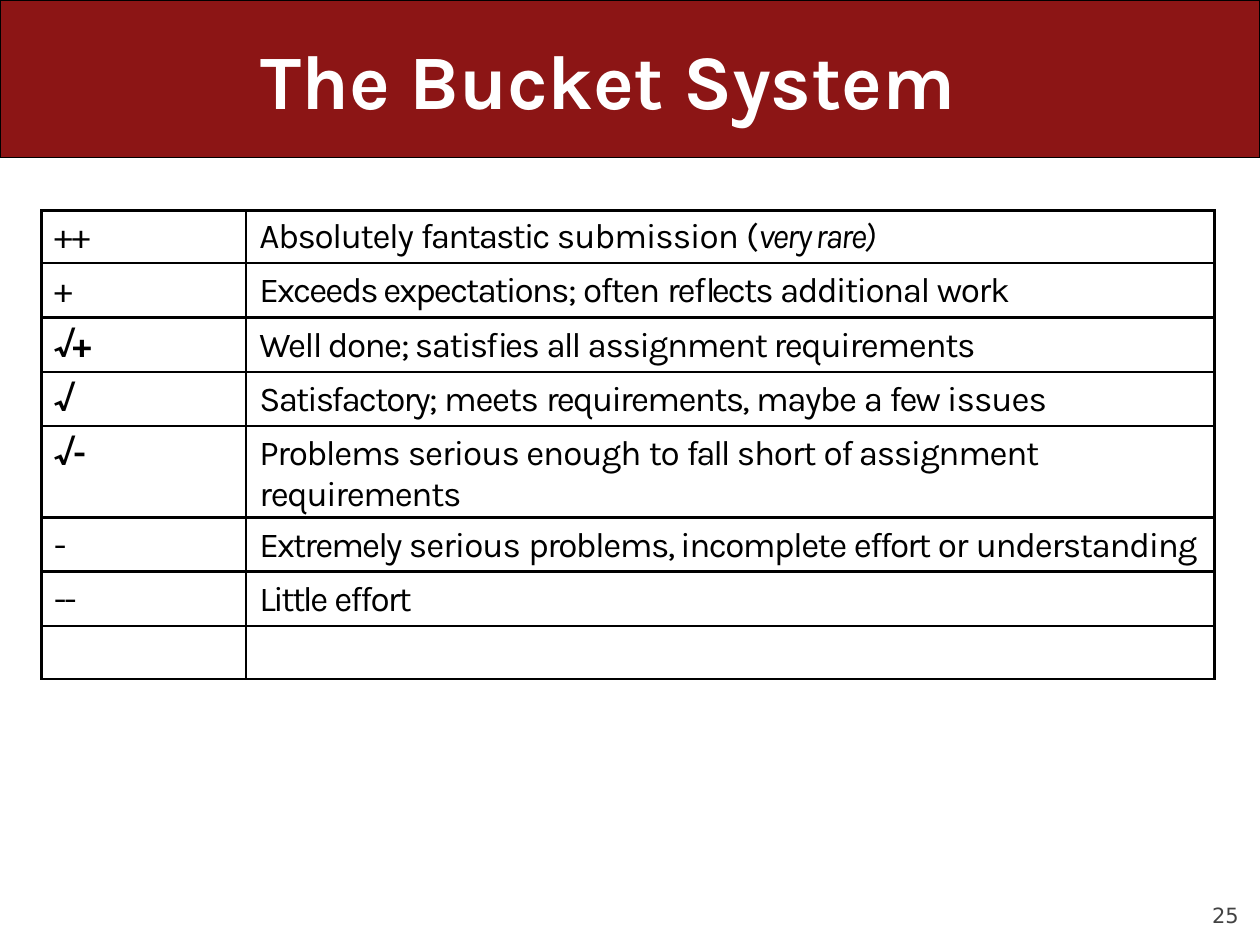
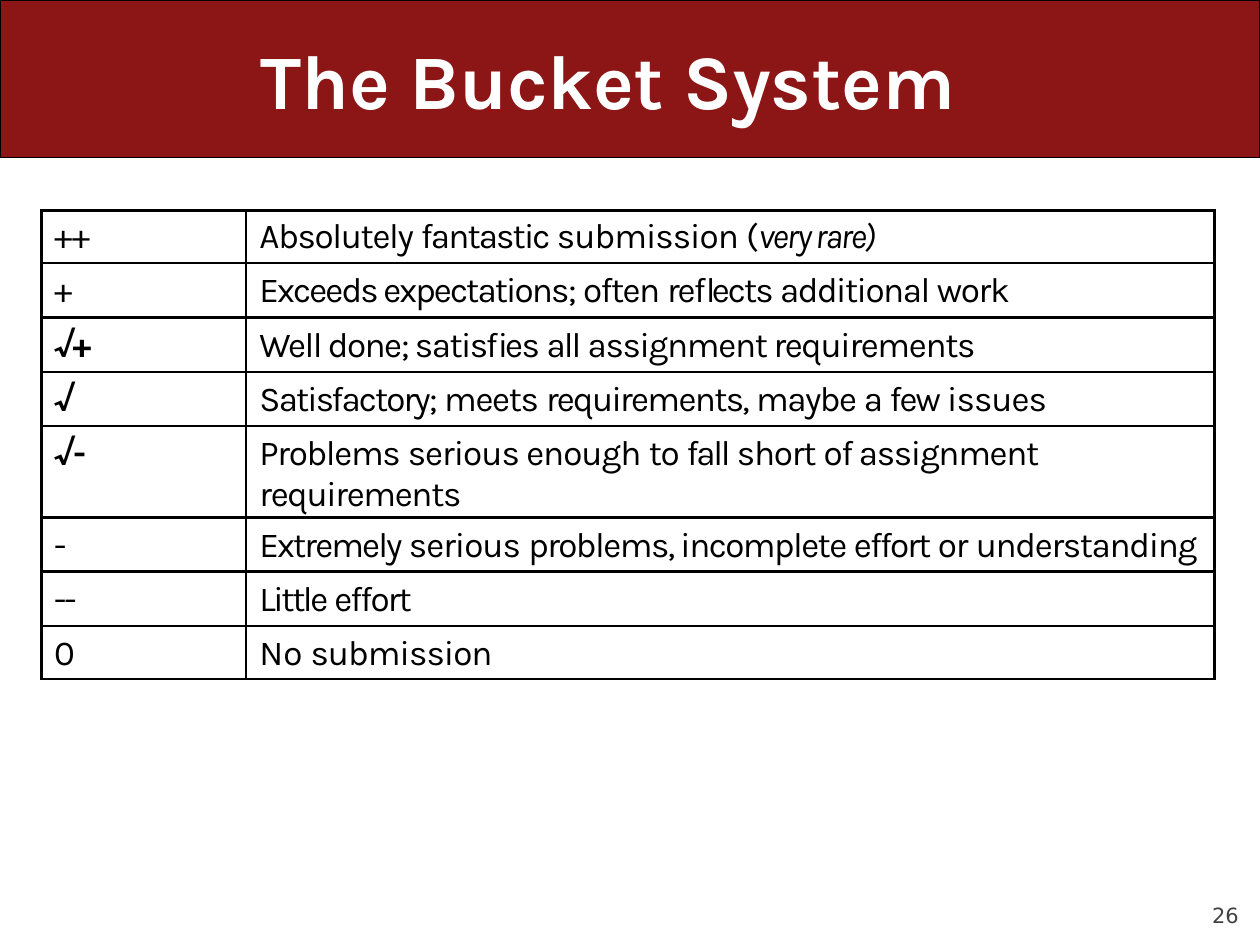
import pptx
import pptx.dml.color
import pptx.enum.shapes
import pptx.oxml
import pptx.oxml.ns
import pptx.util
from pptx.util import Inches

CARDINAL, WHITE, BLACK, GREY = "8C1515", "FFFFFF", "000000", "424242"
TEXT_FONT, NUMBER_FONT = "Karla", "DejaVu Sans"
BLANK_LAYOUT = 6

COLUMN_WIDTHS = [1.62, 7.69]
CELL_INDENTS = [0.1, 0.11]
ROW_HEIGHT = 0.43
END_ROW_HEIGHT = 0.42

# Each grade is a mark and a description, in (text, letter spacing in points) pieces.
GRADES = [
    [[("++", -0.4)],
     [("Absolutely ", -0.8), ("fantastic ", -1.1), ("submission ", -0.6),
      ("(", -1.2), ("very rare)", -1.2)]],
    [[("+", 0)],
     [("Exceeds expectations; ", -1.1), ("often ", -0.9), ("reflects ", -1.1),
      ("additional ", -0.9), ("work", -0.8)]],
    [[("√+", -1.8)],
     [("Well done; satisfies ", -0.9), ("all ", -1.2),
      ("assignment requirements", -0.8)]],
    [[("√", 0)],
     [("Satisfactory; ", -1.1), ("meets ", -0.8), ("requirements, ", -1),
      ("maybe ", -0.9), ("a ", -1), ("few ", -1.2), ("issues", -0.6)]],
    [[("√-", -1.5)],
     [("Problems ", -0.8), ("serious enough ", -0.6), ("to ", -0.8),
      ("fall ", -1.3), ("short ", -0.7), ("of assignment requirements", -0.8)]],
    [[("-", 0)],
     [("Extremely ", -1.1), ("serious ", -0.6), ("problems, incomplete ", -0.9),
      ("effort ", -1.1), ("or ", -0.6), ("understanding", -0.8)]],
    [[("--", -1.2)],
     [("Little ", -1.4), ("effort", -1.1)]],
]
NOT_REVEALED = [[], []]
NO_SUBMISSION = [[("0", 0)], [("No ", -0.1), ("submission", -0.6)]]
ITALIC_PIECES = {"very rare)"}


def rgb(hex_color):
    return pptx.dml.color.RGBColor.from_string(hex_color)


def write_pieces(paragraph, pieces, size, color, font=TEXT_FONT, bold=False):
    paragraph.font.name = font
    paragraph.font.size = pptx.util.Pt(size)
    paragraph.font.color.rgb = rgb(color)
    paragraph.font.bold = bold
    for text, spacing in pieces:
        run = paragraph.add_run()
        run.text = text
        if spacing:
            run._r.get_or_add_rPr().set("spc", str(round(spacing * 100)))
        if text in ITALIC_PIECES:
            run.font.italic = True


def set_margins(holder, left, top):
    holder.margin_left, holder.margin_top = Inches(left), Inches(top)
    holder.margin_right = holder.margin_bottom = 0


def add_band(slide):
    band = slide.shapes.add_shape(
        pptx.enum.shapes.MSO_SHAPE.RECTANGLE, 0, 0, Inches(10), Inches(1.25))
    band.shadow.inherit = False
    band.fill.solid()
    band.fill.fore_color.rgb = rgb(CARDINAL)
    band.line.color.rgb = rgb(BLACK)
    band.line.width = pptx.util.Pt(0.75)


def add_label(slide, box, margins, pieces, size, color, **style):
    frame = slide.shapes.add_textbox(*map(Inches, box)).text_frame
    frame.word_wrap = True
    set_margins(frame, *margins)
    write_pieces(frame.paragraphs[0], pieces, size, color, **style)


def add_borders(cell, width=1.5):
    """Rule all four sides; border elements must precede the fill."""
    properties = cell._tc.get_or_add_tcPr()
    for position, side in enumerate("LRTB"):
        properties.insert(position, pptx.oxml.parse_xml(
            f'<a:ln{side} {pptx.oxml.ns.nsdecls("a")} w="{pptx.util.Pt(width)}">'
            f'<a:solidFill><a:srgbClr val="{BLACK}"/></a:solidFill></a:ln{side}>'))


def add_grade_table(slide, grades):
    last = len(grades) - 1
    heights = [END_ROW_HEIGHT if i in (0, last) else ROW_HEIGHT
               for i in range(len(grades))]
    table = slide.shapes.add_table(
        len(grades), len(COLUMN_WIDTHS), Inches(0.33), Inches(1.67),
        Inches(sum(COLUMN_WIDTHS)), Inches(sum(heights))).table
    table.first_row = table.horz_banding = False
    for column, width in zip(table.columns, COLUMN_WIDTHS):
        column.width = Inches(width)
    for i, (row, grade) in enumerate(zip(table.rows, grades)):
        row.height = Inches(heights[i])
        for cell, pieces, indent in zip(row.cells, grade, CELL_INDENTS):
            cell.fill.background()
            add_borders(cell)
            set_margins(cell, indent, 0.06 if i else 0.05)
            is_check_mark = any("√" in text for text, _ in pieces)
            write_pieces(cell.text_frame.paragraphs[0], pieces, 20, BLACK,
                         bold=is_check_mark)


def add_bucket_slide(deck, number, last_grade):
    slide = deck.slides.add_slide(deck.slide_layouts[BLANK_LAYOUT])
    add_band(slide)
    add_label(slide, (2.06, 0.24, 5.88, 0.76), (0.01, 0.02),
              [("The Bucket System", -0.1)], 44, WHITE, bold=True)
    add_label(slide, (9.59, 7.13, 0.27, 0.23), (0.03, 0.03),
              [(str(number), 0)], 12, GREY, font=NUMBER_FONT)
    add_grade_table(slide, GRADES + [last_grade])


def main():
    deck = pptx.Presentation()
    deck.slide_width, deck.slide_height = Inches(10), Inches(7.5)
    for number, last_grade in enumerate([NOT_REVEALED, NO_SUBMISSION], start=25):
        add_bucket_slide(deck, number, last_grade)
    deck.save("out.pptx")


if __name__ == "__main__":
    main()
